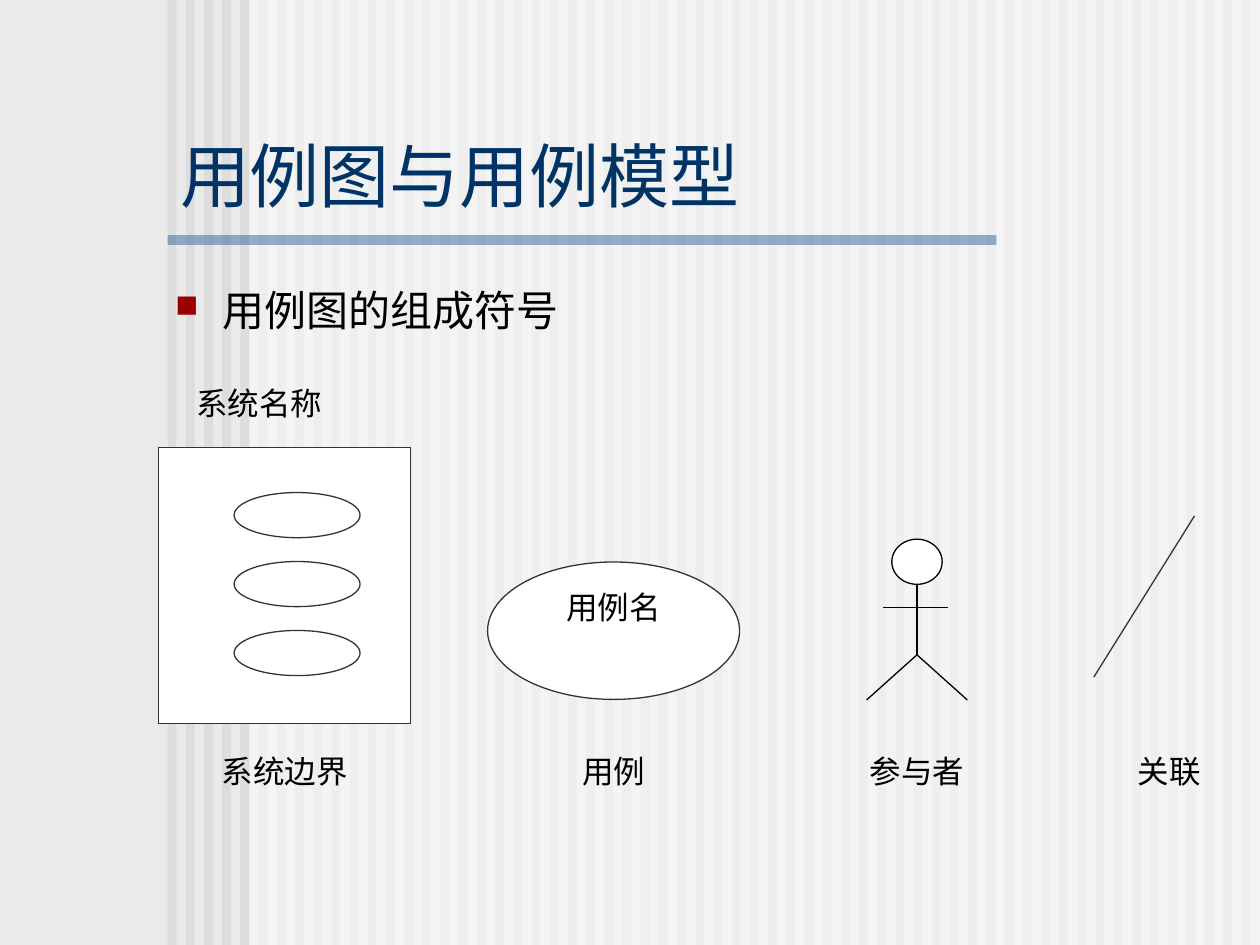
from lxml import etree
from pptx import Presentation
from pptx.dml.color import RGBColor
from pptx.enum.shapes import MSO_CONNECTOR as CONN, MSO_SHAPE as SHAPE
from pptx.enum.text import MSO_ANCHOR as ANCHOR, PP_ALIGN as ALIGN
from pptx.oxml.ns import qn
from pptx.util import Cm, Pt

COLORS = {
    "background": "EAEAEA", "stripe": "DDDDDD", "white": "FFFFFF",
    "rule": "336699", "title": "003366", "bullet": "9A0000",
    "text": "000000", "outline": "333333",
}
BODY_FONT = "Times New Roman"
HEAD_FONT = "Arial"
OVAL_H = 0.91


def color(name):
    return RGBColor.from_string(COLORS[name])


def add_shape(slide, kind, x, y, w, h, fill, line=None, alpha=None):
    s = slide.shapes.add_shape(kind, Cm(x), Cm(y), Cm(w), Cm(h))
    s.shadow.inherit = False
    s.fill.solid()
    s.fill.fore_color.rgb = color(fill)
    if alpha:
        clr = s.fill._xPr.find(".//" + qn("a:srgbClr"))
        etree.SubElement(clr, qn("a:alpha"), val=str(alpha * 1000))
    if line:
        s.line.color.rgb = color(line)
        s.line.width = Pt(0.75)
    else:
        s.line.fill.background()
    return s


def add_line(slide, x1, y1, x2, y2, line):
    c = slide.shapes.add_connector(CONN.STRAIGHT, Cm(x1), Cm(y1), Cm(x2), Cm(y2))
    c.line.color.rgb = color(line)
    c.line.width = Pt(0.75)
    etree.SubElement(c._element.spPr, qn("a:effectLst"))


def set_text(s, text, size=18, font=BODY_FONT, fill="text",
             align=ALIGN.CENTER, anchor=ANCHOR.TOP):
    tf = s.text_frame
    tf.word_wrap = True
    tf.vertical_anchor = anchor
    p = tf.paragraphs[0]
    p.text = text
    p.alignment = align
    p.font.size = Pt(size)
    p.font.name = font
    p.font.color.rgb = color(fill)
    return p


def add_text(slide, x, y, w, h, text, **style):
    s = slide.shapes.add_textbox(Cm(x), Cm(y), Cm(w), Cm(h))
    return set_text(s, text, **style)


def add_bullet(p):
    pPr = p._p.get_or_add_pPr()
    pPr.set("marL", str(Cm(0.95)))
    pPr.set("indent", str(-Cm(0.95)))
    bu_clr = etree.Element(qn("a:buClr"))
    etree.SubElement(bu_clr, qn("a:srgbClr"), val=COLORS["bullet"])
    bu_size = etree.Element(qn("a:buSzPct"), val="75000")
    bu_char = etree.Element(qn("a:buChar"), char="■")
    for i, el in enumerate((bu_clr, bu_size, bu_char)):
        pPr.insert(i, el)


def draw_backdrop(slide, x, y, w, h):
    slide.background.fill.solid()
    slide.background.fill.fore_color.rgb = color("background")
    # Evenly spaced stripes, veiled by a translucent panel
    count, stripe_w = 60, 0.18
    pitch = (w - 0.38) / (count - 1)
    for i in range(count):
        add_shape(slide, SHAPE.RECTANGLE, x + i * pitch, y, stripe_w, h, "stripe")
    add_shape(slide, SHAPE.RECTANGLE, x + 1.65, y, w - 1.65, h, "white", alpha=50)


def draw_heading(slide, x, y, w):
    add_shape(slide, SHAPE.RECTANGLE, x, y + 2, 16.71, 0.2, "rule", alpha=50)
    add_text(slide, x, y, w, 1.75, "用例图与用例模型", size=40, font=HEAD_FONT,
             fill="title", align=ALIGN.LEFT, anchor=ANCHOR.BOTTOM)
    p = add_text(slide, x - 0.1, y + 2.87, w + 2.97, 1.93, "用例图的组成符号",
                 size=24, font=HEAD_FONT, align=ALIGN.LEFT)
    add_bullet(p)


def draw_boundary(slide, x, y, w, h):
    add_text(slide, x + 0.51, y - 1.4, 4.06, 1.4, "系统名称", align=ALIGN.JUSTIFY)
    add_shape(slide, SHAPE.RECTANGLE, x, y, w, h, "white", "outline")
    for i in range(3):
        add_shape(slide, SHAPE.OVAL, x + 1.52, y + OVAL_H + i * 1.39, w / 2, OVAL_H,
                  "white", "outline")


def draw_use_case(slide, x, y, w, h):
    s = add_shape(slide, SHAPE.OVAL, x, y, w, h, "white", "outline")
    set_text(s, "用例名")


def draw_actor(slide, x, y, w, h):
    mid, hip = x + w / 2, y + h - OVAL_H
    add_shape(slide, SHAPE.OVAL, x + w / 4, y, w / 2, OVAL_H, "white", "text")
    add_line(slide, x + 0.33, y + 1.38, x + 1.65, y + 1.38, "text")  # arms
    add_line(slide, mid, y + OVAL_H, mid, hip, "text")  # torso
    for foot in (x, x + w):
        add_line(slide, mid, hip, foot, y + h, "text")


def draw_association(slide, x, y, w, h):
    add_line(slide, x, y + h, x + w, y, "outline")


def draw_symbols(slide, x, y):
    # Each symbol: drawing function, box relative to the region, caption, centre
    symbols = [
        (draw_boundary, (0, 0, 5.08, 5.56), "系统边界", 2.54),
        (draw_use_case, (6.63, 2.31, 5.08, 2.77), "用例", 9.17),
        (draw_actor, (14.27, 1.85, 2.03, 3.24), "参与者", 15.29),
        (draw_association, (18.85, 1.38, 2.03, 3.25), "关联", 20.37),
    ]
    for draw, (dx, dy, w, h), caption, centre in symbols:
        draw(slide, x + dx, y + dy, w, h)
        add_text(slide, x + centre - 2.03, y + 6.02, 4.06, 1.4, caption)


def main():
    prs = Presentation()
    prs.slide_width, prs.slide_height = Cm(25.4), Cm(19.05)
    slide = prs.slides.add_slide(prs.slide_layouts[6])
    draw_backdrop(slide, 3.38, 0, 22.02, 19.05)
    draw_heading(slide, 3.38, 2.74, 18.62)
    draw_symbols(slide, 3.2, 9.02)
    prs.save("out.pptx")


if __name__ == "__main__":
    main()
